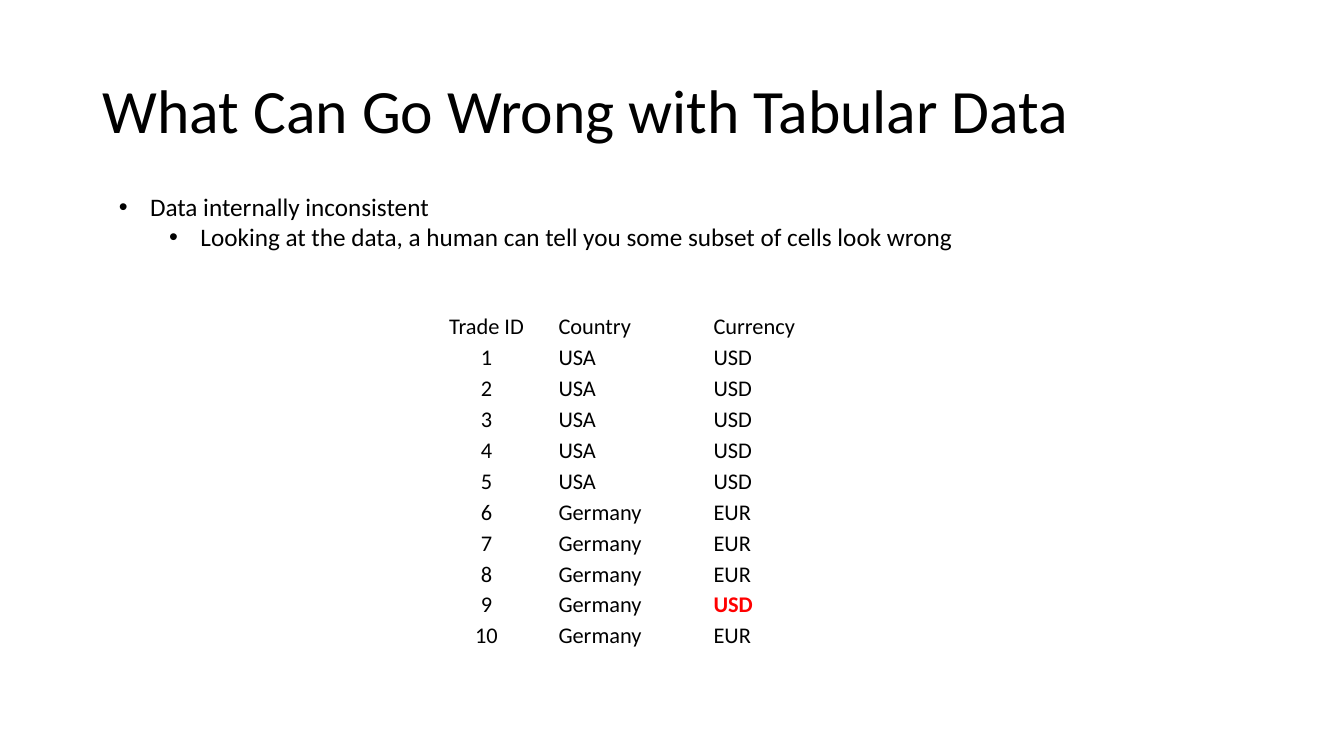
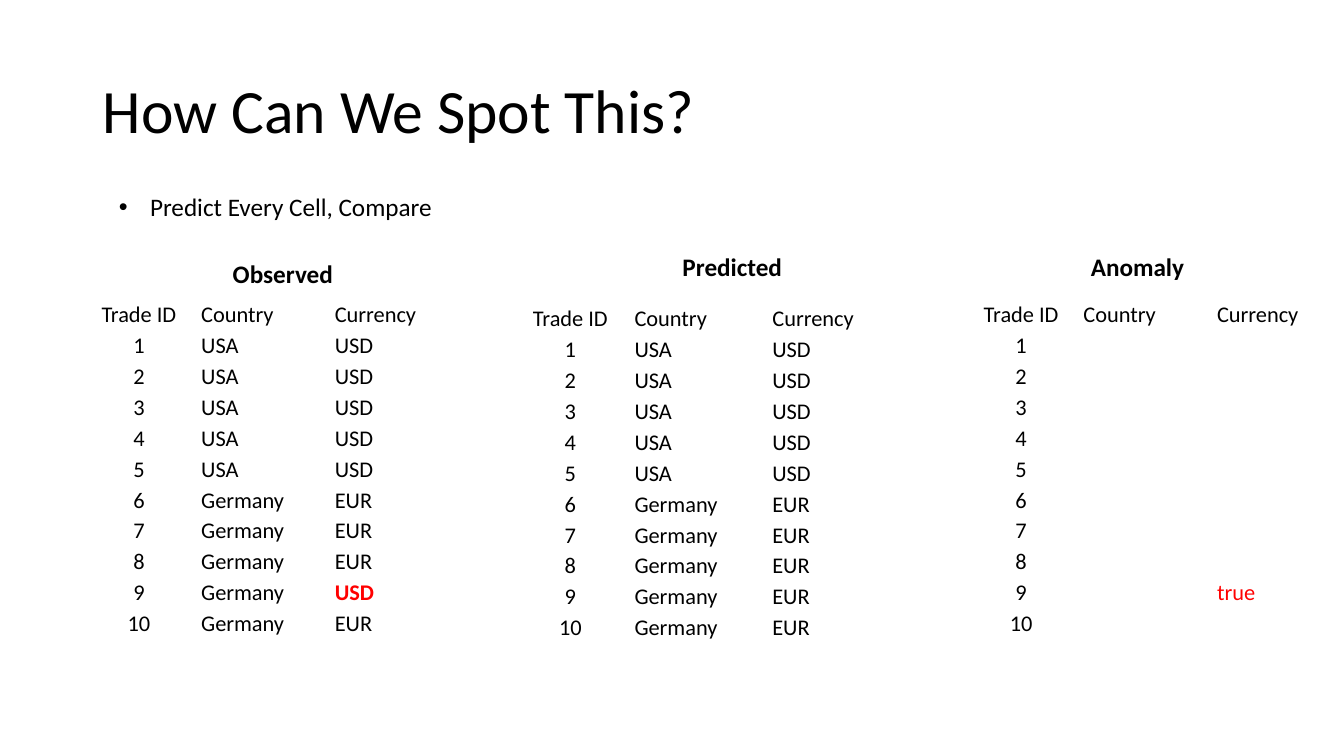
from dataclasses import dataclass

from lxml import etree
from pptx import Presentation
from pptx.dml.color import RGBColor
from pptx.enum import text
from pptx.oxml import ns
from pptx.util import Inches, Pt


@dataclass(frozen=True)
class Theme:
    font: str = "Calibri"
    ink: RGBColor = RGBColor(0, 0, 0)
    alert: RGBColor = RGBColor(255, 0, 0)
    title: int = 44
    body: int = 18
    cell: int = 16


THEME = Theme()
PLAIN = "{2D5ABB26-0587-4C30-8999-92F81FD0307C}"  # table style without grid
SHARES = (0.319, 0.348, 0.333)
ROW = 3.38 / 11
INSET = 0.01
HEAD = ("Trade ID", "Country", "Currency")
GOOD = [("USA", "USD")] * 5 + [("Germany", "EUR")] * 5
ODD = 8  # index of the trade that is wrong


def swap(rows, pair):
    """Return rows with the odd trade replaced by pair."""
    return rows[:ODD] + [pair] + rows[ODD + 1:]


SEEN = swap(GOOD, ("Germany", "USD"))
FLAGS = swap([("", "")] * len(GOOD), ("", "true"))


def style(para, size, bold=False, color=THEME.ink):
    font = para.font
    font.name = THEME.font
    font.size = Pt(size)
    font.bold = bold
    font.color.rgb = color


def add_slide(deck, title):
    slide = deck.slides.add_slide(deck.slide_layouts[5])
    shape = slide.shapes.title
    shape.left, shape.top = Inches(0.92), Inches(0.4)
    shape.width, shape.height = Inches(11.5), Inches(1.45)
    frame = shape.text_frame
    frame.text = title
    frame.vertical_anchor = text.MSO_ANCHOR.MIDDLE
    para = frame.paragraphs[0]
    para.alignment = text.PP_ALIGN.LEFT
    para.line_spacing = 0.9
    style(para, THEME.title)
    return slide


def add_text(slide, lines, left, top, width, height, bold=False):
    box = slide.shapes.add_textbox(
        Inches(left), Inches(top), Inches(width), Inches(height))
    frame = box.text_frame
    frame.word_wrap = True
    frame.auto_size = text.MSO_AUTO_SIZE.SHAPE_TO_FIT_TEXT
    frame.text = "\n".join(lines)
    for para in frame.paragraphs:
        style(para, THEME.body, bold)
    return frame


def add_bullets(slide, *lines):
    """Add lines, each one level deeper than the one before."""
    frame = add_text(slide, lines, 1.08, 1.85, 10.98, 0.1 + 0.3 * len(lines))
    for level, para in enumerate(frame.paragraphs):
        para.level = level
        props = para._p.get_or_add_pPr()
        props.set("marL", str(Inches(0.31 + 0.5 * level)))
        props.set("indent", str(Inches(-0.31)))
        font = etree.Element(ns.qn("a:buFont"), typeface="Arial")
        mark = etree.Element(ns.qn("a:buChar"), char="•")
        props.insert(0, font)
        font.addnext(mark)


def fill_cell(cell, value, center, bold, color):
    cell.fill.background()
    cell.margin_left = cell.margin_right = Inches(INSET)
    cell.margin_top = cell.margin_bottom = 0
    cell.vertical_anchor = text.MSO_ANCHOR.BOTTOM
    cell.text = value
    para = cell.text_frame.paragraphs[0]
    para.alignment = text.PP_ALIGN.CENTER if center else text.PP_ALIGN.LEFT
    style(para, THEME.cell, bold, color)


def add_trades(slide, pairs, left, top, width, alert=False, bold=False):
    """Add a trade table; alert marks the odd currency in red."""
    rows = [HEAD] + [(str(i), *pair) for i, pair in enumerate(pairs, 1)]
    table = slide.shapes.add_table(
        len(rows), len(HEAD), Inches(left), Inches(top),
        Inches(width), Inches(ROW * len(rows))).table
    table.first_row = table.horz_banding = False
    table._tbl.tblPr.find(ns.qn("a:tableStyleId")).text = PLAIN
    for col, share in zip(table.columns, SHARES):
        col.width = Inches(width * share)
    for r, row in enumerate(rows):
        table.rows[r].height = Inches(ROW)
        for c, value in enumerate(row):
            hit = alert and (r, c) == (ODD + 1, 2)
            fill_cell(table.cell(r, c), value, c == 0, hit and bold,
                      THEME.alert if hit else THEME.ink)


def show_fault(deck):
    slide = add_slide(deck, "What Can Go Wrong with Tabular Data")
    add_bullets(
        slide, "Data internally inconsistent",
        "Looking at the data, a human can tell you some subset of cells look wrong")
    add_trades(slide, SEEN, 4.12, 3.07, 4.42, alert=True, bold=True)


def show_check(deck):
    slide = add_slide(deck, "How Can We Spot This?")
    add_bullets(slide, "Predict Every Cell, Compare")
    add_trades(slide, SEEN, 0.77, 2.95, 3.81, alert=True, bold=True)
    add_trades(slide, GOOD, 5.03, 2.99, 3.93)
    add_trades(slide, FLAGS, 9.52, 2.95, 3.81, alert=True)
    for label, left, top in (("Observed", 2.21, 2.51),
                             ("Predicted", 6.67, 2.44),
                             ("Anomaly", 10.72, 2.44)):
        add_text(slide, [label], left, top, 1.55, 0.4, bold=True)


def main():
    deck = Presentation()
    deck.slide_width, deck.slide_height = Inches(13.33), Inches(7.5)
    show_fault(deck)
    show_check(deck)
    deck.save("out.pptx")


if __name__ == "__main__":
    main()
